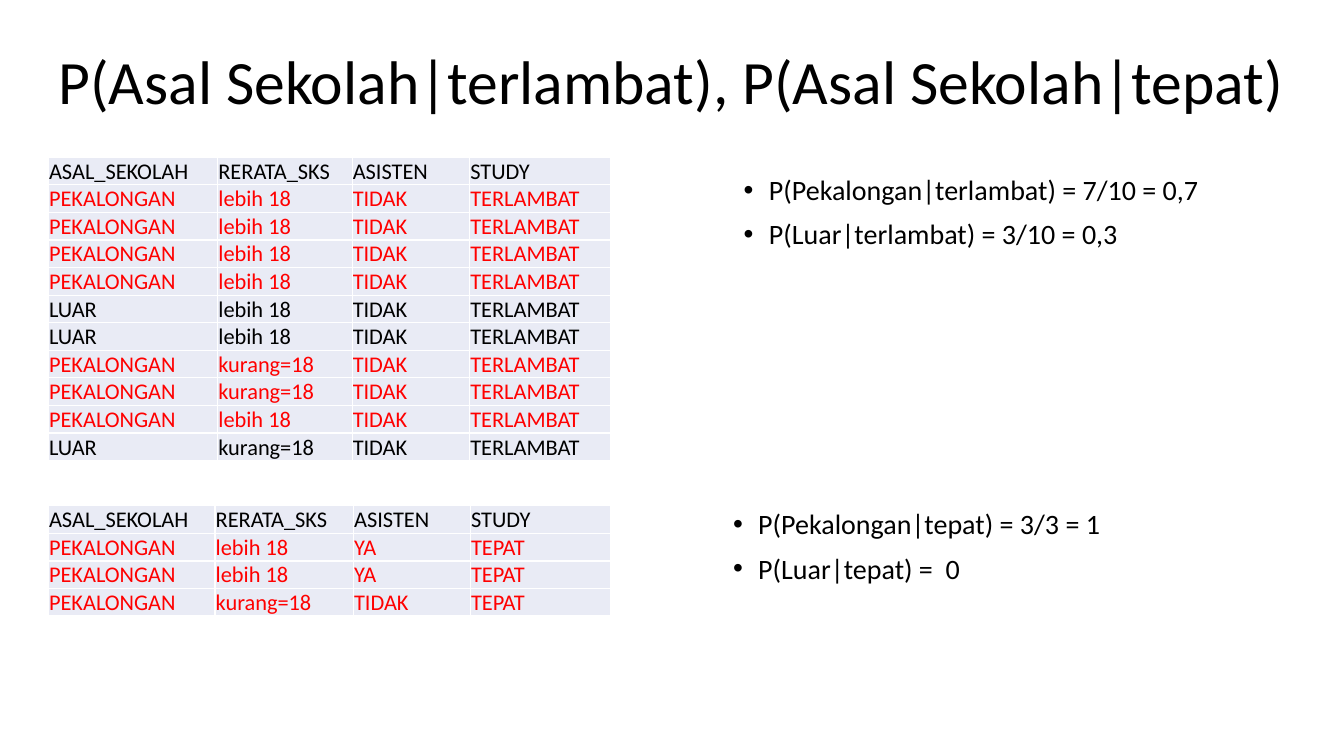
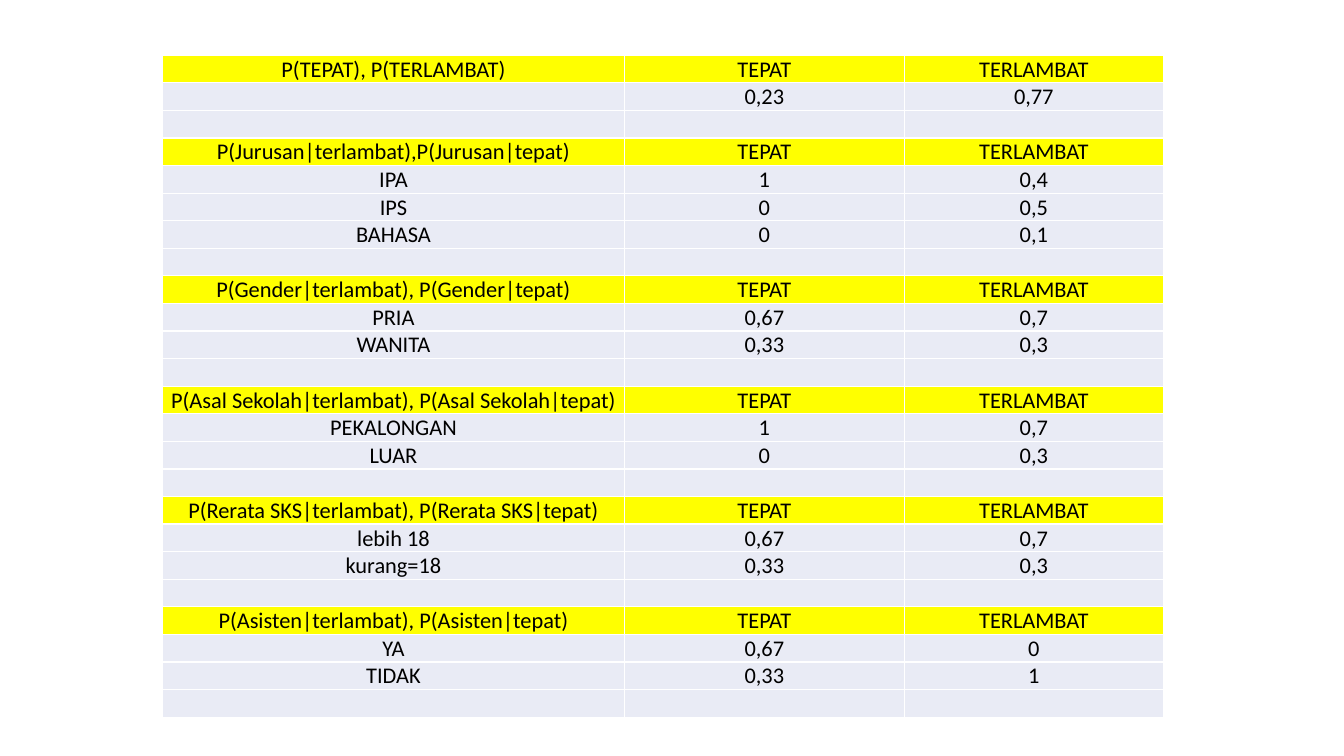
from lxml.etree import SubElement
from pptx import Presentation
from pptx.dml.color import RGBColor
from pptx.enum.text import MSO_ANCHOR as Anchor, MSO_AUTO_SIZE as AutoSize, PP_ALIGN as Align
from pptx.oxml.ns import qn
from pptx.util import Inches, Pt

# Shared style
FONT = "Calibri"
BLACK, RED, YELLOW, PALE = "000000", "FF0000", "FFFF00", "E9EBF5"
WIDTH, HEIGHT = Inches(13.33), Inches(7.5)
TITLE_SIZE, BULLET_SIZE, TABLE_SIZE = 44, 20, 16
MARGIN = 3.6
ROW_HEIGHT = 3.6

# Student records
RECORD_HEADER = ("ASAL_SEKOLAH", "RERATA_SKS", "ASISTEN", "STUDY")
MORE, LESS = "lebih 18", "kurang=18"
LATE = [(school, credits, "TIDAK", "TERLAMBAT") for school, credits in
        [("PEKALONGAN", MORE)] * 4 + [("LUAR", MORE)] * 2
        + [("PEKALONGAN", LESS)] * 2 + [("PEKALONGAN", MORE), ("LUAR", LESS)]]
ON_TIME = [("PEKALONGAN", credits, assistant, "TEPAT") for credits, assistant in
           [(MORE, "YA")] * 2 + [(LESS, "TIDAK")]]

# Probabilities: heading, then (value, on time, late)
PROBABILITIES = [
    ("P(TEPAT), P(TERLAMBAT)", [("", "0,23", "0,77")]),
    ("P(Jurusan|terlambat),P(Jurusan|tepat)",
     [("IPA", "1", "0,4"), ("IPS", "0", "0,5"), ("BAHASA", "0", "0,1")]),
    ("P(Gender|terlambat), P(Gender|tepat)",
     [("PRIA", "0,67", "0,7"), ("WANITA", "0,33", "0,3")]),
    ("P(Asal Sekolah|terlambat), P(Asal Sekolah|tepat)",
     [("PEKALONGAN", "1", "0,7"), ("LUAR", "0", "0,3")]),
    ("P(Rerata SKS|terlambat), P(Rerata SKS|tepat)",
     [(MORE, "0,67", "0,7"), (LESS, "0,33", "0,3")]),
    ("P(Asisten|terlambat), P(Asisten|tepat)",
     [("YA", "0,67", "0"), ("TIDAK", "0,33", "1")]),
]


def color(value):
    return RGBColor.from_string(value)


def across(percent):
    return round(WIDTH * percent / 100)


def down(percent):
    return round(HEIGHT * percent / 100)


def box(left, top, width, height):
    """Turn percentages of the slide into a position and a size."""
    return across(left), down(top), across(width), down(height)


def format_runs(paragraph, size, ink=BLACK):
    for run in paragraph.runs:
        run.font.name = FONT
        run.font.size = Pt(size)
        run.font.color.rgb = color(ink)


def set_title(slide, text):
    title = slide.shapes.title
    title.left, title.top, title.width, title.height = box(MARGIN, 1.5, 93.45, 19.3)
    frame = title.text_frame
    frame.text = text
    frame.auto_size = AutoSize.NONE
    frame.vertical_anchor = Anchor.MIDDLE
    paragraph = frame.paragraphs[0]
    paragraph.alignment = Align.LEFT
    paragraph.line_spacing = 0.9
    format_runs(paragraph, TITLE_SIZE)


def add_bullets(slide, place, lines):
    frame = slide.shapes.add_textbox(*box(*place)).text_frame
    frame.word_wrap = True
    frame.text = "\n".join(lines)
    for paragraph in frame.paragraphs:
        paragraph.line_spacing = 0.9
        paragraph.space_before = Pt(10)
        format_runs(paragraph, BULLET_SIZE)
        # Hanging bullet
        properties = paragraph._p.get_or_add_pPr()
        properties.set("marL", str(Inches(0.25)))
        properties.set("indent", str(-Inches(0.25)))
        SubElement(properties, qn("a:buFont")).set("typeface", "Arial")
        SubElement(properties, qn("a:buChar")).set("char", "•")


def fill_cell(cell, text, fill, ink, alignment):
    cell.fill.solid()
    cell.fill.fore_color.rgb = color(fill)
    cell.margin_left = cell.margin_right = cell.margin_top = Pt(0.5)
    cell.margin_bottom = 0
    cell.vertical_anchor = Anchor.BOTTOM
    cell.text_frame.text = text
    paragraph = cell.text_frame.paragraphs[0]
    paragraph.alignment = alignment
    format_runs(paragraph, TABLE_SIZE, ink)
    if not text:  # keep empty rows as low as the others
        SubElement(paragraph._p, qn("a:endParaRPr")).set("sz", str(TABLE_SIZE * 100))


def add_grid(slide, left, top, widths, rows, alignment):
    """Add a table; each row is (texts, fill, ink)."""
    place = box(left, top, sum(widths), ROW_HEIGHT * len(rows))
    table = slide.shapes.add_table(len(rows), len(widths), *place).table
    table.first_row = table.horz_banding = False
    for column, width in zip(table.columns, widths):
        column.width = across(width)
    for row, (texts, fill, ink) in zip(table.rows, rows):
        row.height = down(ROW_HEIGHT)
        for cell, text in zip(row.cells, texts):
            fill_cell(cell, text, fill, ink, alignment)


def add_records(slide, top, widths, records):
    rows = [(record, PALE, RED if record[0] == "PEKALONGAN" else BLACK)
            for record in [RECORD_HEADER] + records]
    add_grid(slide, MARGIN, top, widths, rows, Align.LEFT)


def build_school_slide(presentation):
    slide = presentation.slides.add_slide(presentation.slide_layouts[5])
    set_title(slide, "P(Asal Sekolah|terlambat), P(Asal Sekolah|tepat)")
    add_bullets(slide, (54.6, 22.7, 37.35, 18.1),
                ["P(Pekalongan|terlambat) = 7/10 = 0,7", "P(Luar|terlambat) = 3/10 = 0,3"])
    add_bullets(slide, (53.8, 66.9, 39, 18.1),
                ["P(Pekalongan|tepat) = 3/3 = 1", "P(Luar|tepat) =  0"])
    add_records(slide, 20.8, (12.6, 10, 8.75, 10.45), LATE)
    add_records(slide, 66.9, (12.4, 10.3, 8.7, 10.4), ON_TIME)


def build_summary_slide(presentation):
    slide = presentation.slides.add_slide(presentation.slide_layouts[6])
    rows = []
    for heading, values in PROBABILITIES:
        rows.append(((heading, "TEPAT", "TERLAMBAT"), YELLOW, BLACK))
        rows += [(value, PALE, BLACK) for value in values + [("", "", "")]]
    add_grid(slide, 12.1, 7.3, (34.35, 20.85, 19.25), rows, Align.CENTER)


def main():
    presentation = Presentation()
    presentation.slide_width, presentation.slide_height = WIDTH, HEIGHT
    build_school_slide(presentation)
    build_summary_slide(presentation)
    presentation.save("out.pptx")


if __name__ == "__main__":
    main()
